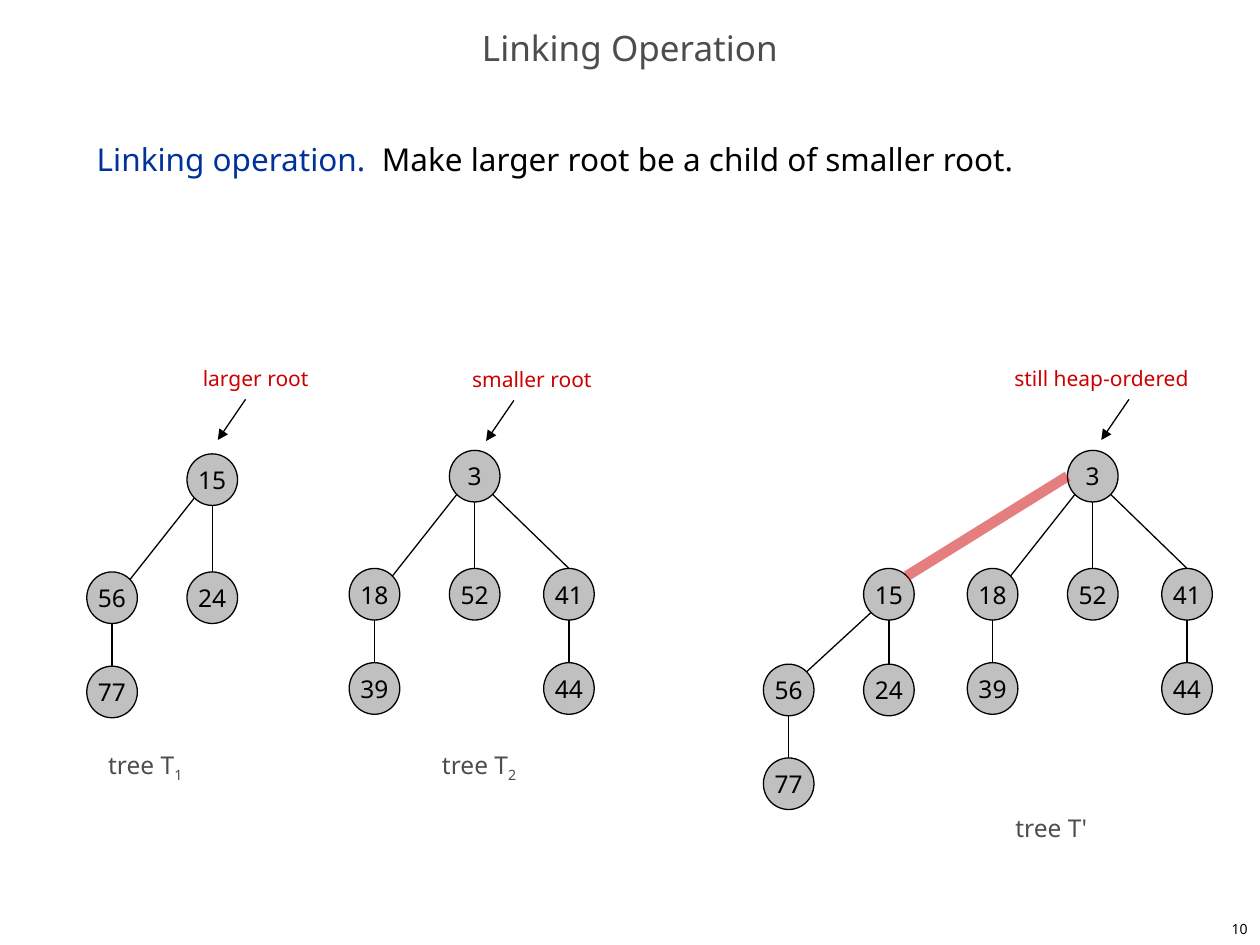
from dataclasses import dataclass
from math import sqrt

from lxml import etree
from pptx import Presentation
from pptx.dml.color import RGBColor
from pptx.enum.shapes import MSO_CONNECTOR, MSO_SHAPE
from pptx.enum.text import MSO_ANCHOR, PP_ALIGN
from pptx.oxml.ns import qn
from pptx.util import Cm, Pt

ELLIPSE = MSO_SHAPE.OVAL
STRAIGHT = MSO_CONNECTOR.STRAIGHT
TOP, MIDDLE = MSO_ANCHOR.TOP, MSO_ANCHOR.MIDDLE
LEFT, CENTER, RIGHT = PP_ALIGN.LEFT, PP_ALIGN.CENTER, PP_ALIGN.RIGHT


@dataclass(frozen=True)
class Theme:
    font: str = "Noto Sans"
    ink: str = "000000"
    muted: str = "4D4D4D"
    term: str = "003399"
    accent: str = "CC0000"
    node: str = "C0C0C0"
    title_size: int = 20
    body_size: int = 18
    label_size: int = 14
    note_size: int = 12
    page_size: int = 8
    thin: float = 0.75
    thick: float = 6


THEME = Theme()
NODE_WIDTH, NODE_HEIGHT = 1.02, 1.04
DIAGONAL = 1 / sqrt(2)
LEVELS = (0, 2.38, 4.28)
LINKED_LEVELS = (2.38, 4.31, 6.2)
COLUMNS = (0, 2.02, 3.92)
LINKED_SHIFT = 4.11

LARGER_TREE = {
    "15": (1, 0, None),
    "56": (0, 1, "15"),
    "24": (1, 1, "15"),
    "77": (0, 2, "56"),
}
SMALLER_TREE = {
    "3": (1, 0, None),
    "18": (0, 1, "3"),
    "52": (1, 1, "3"),
    "41": (2, 1, "3"),
    "39": (0, 2, "18"),
    "44": (2, 2, "41"),
}


def style_paragraph(paragraph, size, color, align=LEFT):
    paragraph.alignment = align
    paragraph.font.name = THEME.font
    paragraph.font.size = Pt(size)
    paragraph.font.color.rgb = RGBColor.from_string(color)


def add_label(slide, box, text, size, color, align=LEFT, anchor=TOP):
    frame = slide.shapes.add_textbox(*map(Cm, box)).text_frame
    frame.word_wrap = True
    frame.vertical_anchor = anchor
    paragraph = frame.paragraphs[0]
    paragraph.add_run().text = text
    style_paragraph(paragraph, size, color, align)
    return paragraph


def add_line(slide, start, end, color=THEME.ink, width=THEME.thin):
    edge = slide.shapes.add_connector(STRAIGHT, *map(Cm, (*start, *end)))
    edge.line.color.rgb = RGBColor.from_string(color)
    edge.line.width = Pt(width)
    etree.SubElement(edge._element.spPr, qn("a:effectLst"))
    return edge


def add_node(slide, left, top, value):
    node = slide.shapes.add_shape(
        ELLIPSE, *map(Cm, (left, top, NODE_WIDTH, NODE_HEIGHT)))
    node.shadow.inherit = False
    node.fill.solid()
    node.fill.fore_color.rgb = RGBColor.from_string(THEME.node)
    node.line.color.rgb = RGBColor.from_string(THEME.ink)
    node.line.width = Pt(THEME.thin)
    frame = node.text_frame
    frame.word_wrap = False
    frame.vertical_anchor = MIDDLE
    frame.text = value
    style_paragraph(frame.paragraphs[0], THEME.label_size, THEME.ink, CENTER)


def rim_point(corner, across, down):
    return (corner[0] + NODE_WIDTH / 2 * (1 + across),
            corner[1] + NODE_HEIGHT / 2 * (1 + down))


def add_edge(slide, child, parent):
    if child[0] < parent[0]:
        start = rim_point(child, DIAGONAL, -DIAGONAL)
        end = rim_point(parent, -DIAGONAL, DIAGONAL)
    elif child[0] > parent[0]:
        start = rim_point(child, 0, -1)
        end = rim_point(parent, DIAGONAL, DIAGONAL)
    else:
        start, end = rim_point(child, 0, -1), rim_point(parent, 0, 1)
    add_line(slide, start, end)


def draw_tree(slide, left, top, tree, levels=LEVELS):
    corners = {value: (left + COLUMNS[column], top + levels[level])
               for value, (column, level, _) in tree.items()}
    for value, (_, _, parent) in tree.items():
        add_node(slide, *corners[value], value)
        if parent:
            add_edge(slide, corners[value], corners[parent])
    return corners


def draw_linked_tree(slide, left, top):
    larger = draw_tree(slide, left, top, LARGER_TREE, LINKED_LEVELS)
    smaller = draw_tree(slide, left + LINKED_SHIFT, top, SMALLER_TREE)
    link = add_line(slide, rim_point(larger["15"], DIAGONAL, -DIAGONAL),
                    rim_point(smaller["3"], -1, 0), THEME.accent, THEME.thick)
    color = link.line._ln.find(".//" + qn("a:srgbClr"))
    etree.SubElement(color, qn("a:alpha"), val="50000")


def draw_root_note(slide, left, top, width, text, arrow_offset):
    add_label(slide, (left, top, width, 0.77), text,
              THEME.note_size, THEME.accent)
    start = left + arrow_offset
    arrow = add_line(slide, (start, top + 0.81), (start - 0.56, top + 1.63))
    etree.SubElement(arrow.line._ln, qn("a:tailEnd"), type="triangle")


def draw_tree_name(slide, left, top, text, subscript=""):
    name = add_label(slide, (left, top, 2.59, 0.9), text,
                     THEME.label_size, THEME.muted)
    if subscript:
        index = name.add_run()
        index.text = subscript
        index._r.get_or_add_rPr().set("baseline", "-25000")


def draw_heading(slide, left, top, width):
    title = add_label(slide, (left, top, width, 1.27), "Linking Operation",
                      THEME.title_size, THEME.muted, CENTER, MIDDLE)
    title.line_spacing = 0.7


def draw_definition(slide, left, top, width):
    definition = add_label(slide, (left, top, width, 1.6),
                           "Linking operation.  ", THEME.body_size, THEME.ink)
    definition.line_spacing = Pt(26)
    term = definition.runs[0]
    term.font.color.rgb = RGBColor.from_string(THEME.term)
    definition.add_run().text = "Make larger root be a child of smaller root."


def main():
    deck = Presentation()
    deck.slide_width, deck.slide_height = Cm(25.4), Cm(19.05)
    slide = deck.slides.add_slide(deck.slide_layouts[6])

    draw_heading(slide, 0, 0.43, 25.4)
    draw_definition(slide, 1.7, 2.54, 21.8)

    draw_tree(slide, 1.75, 9.15, LARGER_TREE)
    draw_root_note(slide, 3.84, 7.24, 3.3, "larger root", 1.11)
    draw_tree_name(slide, 1.93, 14.99, "tree T", "1")

    draw_tree(slide, 7.04, 9.08, SMALLER_TREE)
    draw_root_note(slide, 9.27, 7.26, 3.56, "smaller root", 1.09)
    draw_tree_name(slide, 8.66, 14.99, "tree T", "2")

    draw_linked_tree(slide, 15.39, 9.08)
    draw_root_note(slide, 20.2, 7.24, 5.08, "still heap-ordered", 2.56)
    draw_tree_name(slide, 20.22, 16.26, "tree T'")

    add_label(slide, (20.12, 18.42, 5.28, 0.63), "10",
              THEME.page_size, THEME.ink, RIGHT, MIDDLE)
    deck.save("out.pptx")


if __name__ == "__main__":
    main()
